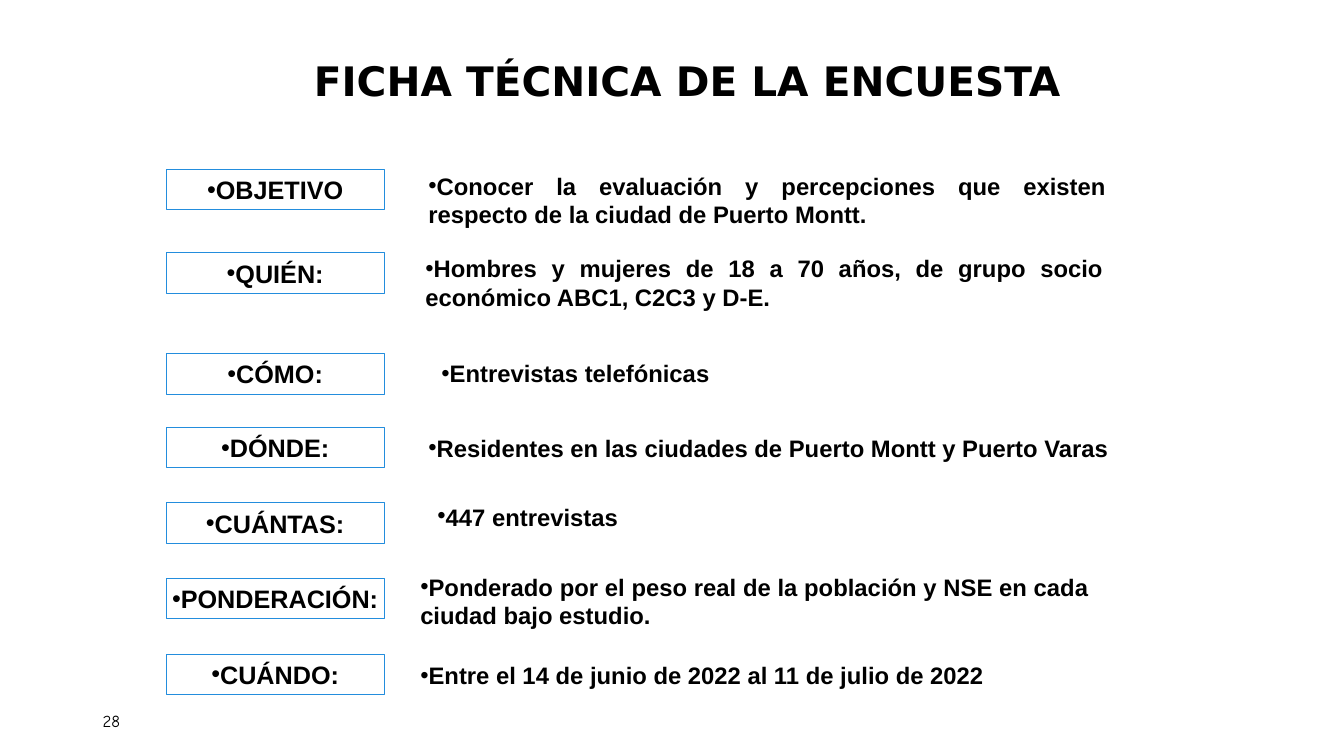
from pptx import Presentation, util as u
from pptx.dml.color import RGBColor
from pptx.enum import shapes, text
from pptx.oxml.ns import qn
from lxml import etree

THEME = {
    "ink": RGBColor.from_string("000000"),
    "border": RGBColor.from_string("238DDD"),
    "title": {"name": "DejaVu Sans", "size": u.Pt(29), "bold": True},
    "label": {"name": "Arial", "size": u.Pt(18), "bold": True},
    "detail": {"name": "Arial", "size": u.Pt(17), "bold": True},
    "number": {"name": "Comic Neue", "size": u.Pt(12), "bold": False},
}
ALIGN, ANCHOR = text.PP_ALIGN, text.MSO_ANCHOR


def write(sp, words, style, align, anchor=ANCHOR.TOP, wrap=True):
    tf = sp.text_frame
    tf.word_wrap, tf.vertical_anchor = wrap, anchor
    p = tf.paragraphs[0]
    p.alignment = align
    r = p.add_run()
    r.text = words
    for key, value in THEME[style].items():
        setattr(r.font, key, value)
    r.font.color.rgb = THEME["ink"]
    return p


def add_bullet(p):
    pPr = p._p.get_or_add_pPr()
    pPr.set("marL", "0")
    pPr.set("indent", "0")
    before = etree.SubElement(pPr, qn("a:spcBef"))
    etree.SubElement(before, qn("a:spcPct")).set("val", "50000")
    etree.SubElement(pPr, qn("a:buFont")).set("typeface", "Arial")
    etree.SubElement(pPr, qn("a:buChar")).set("char", "•")


prs = Presentation()
prs.slide_width, prs.slide_height = u.Inches(13.33), u.Inches(7.5)
s = prs.slides.add_slide(prs.slide_layouts[6])

# Title and page number
sp = s.shapes.add_textbox(u.Inches(2.57), u.Inches(0.36), u.Inches(8.5), u.Inches(0.94))
p = write(sp, "FICHA TÉCNICA DE LA ENCUESTA", "title", ALIGN.CENTER, ANCHOR.MIDDLE)
p.line_spacing = 0.85
sp = s.shapes.add_textbox(u.Inches(0.92), u.Inches(6.95), u.Inches(3), u.Inches(0.4))
write(sp, "28", "number", ALIGN.LEFT, ANCHOR.MIDDLE)

# Survey facts: label, label top, detail, detail box, line spacing, wrap
facts = [
    ("OBJETIVO", 1.68, "Conocer la evaluación y percepciones que existen respecto de la ciudad de Puerto Montt.",
     (4.15, 1.65, 6.92, 0.67), None, True),
    ("QUIÉN:", 2.51, "Hombres y mujeres de 18 a 70 años, de grupo socio económico ABC1, C2C3 y D-E.",
     (4.12, 2.47, 6.92, 0.67), None, True),
    ("CÓMO:", 3.51, "Entrevistas telefónicas", (4.28, 3.51, 6.76, 0.38), None, True),
    ("DÓNDE:", 4.24, "Residentes en las ciudades de Puerto Montt y Puerto Varas",
     (4.15, 4.25, 7.02, 0.39), None, False),
    ("CUÁNTAS:", 4.99, "447 entrevistas", (4.24, 5.06, 5.5, 0.26), 0.5, True),
    ("PONDERACIÓN:", 5.74, "Ponderado por el peso real de la población y NSE en cada ciudad bajo estudio.",
     (4.07, 5.63, 6.83, 0.67), None, True),
    ("CUÁNDO:", 6.49, "Entre el 14 de junio de 2022 al 11 de julio de 2022",
     (4.07, 6.51, 6.83, 0.38), None, True),
]
for label, top, detail, box, spacing, wrap in facts:
    # Outlined label
    sp = s.shapes.add_shape(shapes.MSO_SHAPE.RECTANGLE, u.Inches(1.65), u.Inches(top),
                            u.Inches(2.16), u.Inches(0.4))
    sp.shadow.inherit = False
    sp.fill.background()
    sp.line.color.rgb, sp.line.width = THEME["border"], u.Pt(0.75)
    add_bullet(write(sp, label, "label", ALIGN.CENTER, wrap=False))

    # Description
    sp = s.shapes.add_textbox(*map(u.Inches, box))
    p = write(sp, detail, "detail", ALIGN.JUSTIFY, wrap=wrap)
    if spacing:
        p.line_spacing = spacing
    add_bullet(p)
    sp.text_frame.auto_size = text.MSO_AUTO_SIZE.SHAPE_TO_FIT_TEXT

prs.save("out.pptx")
